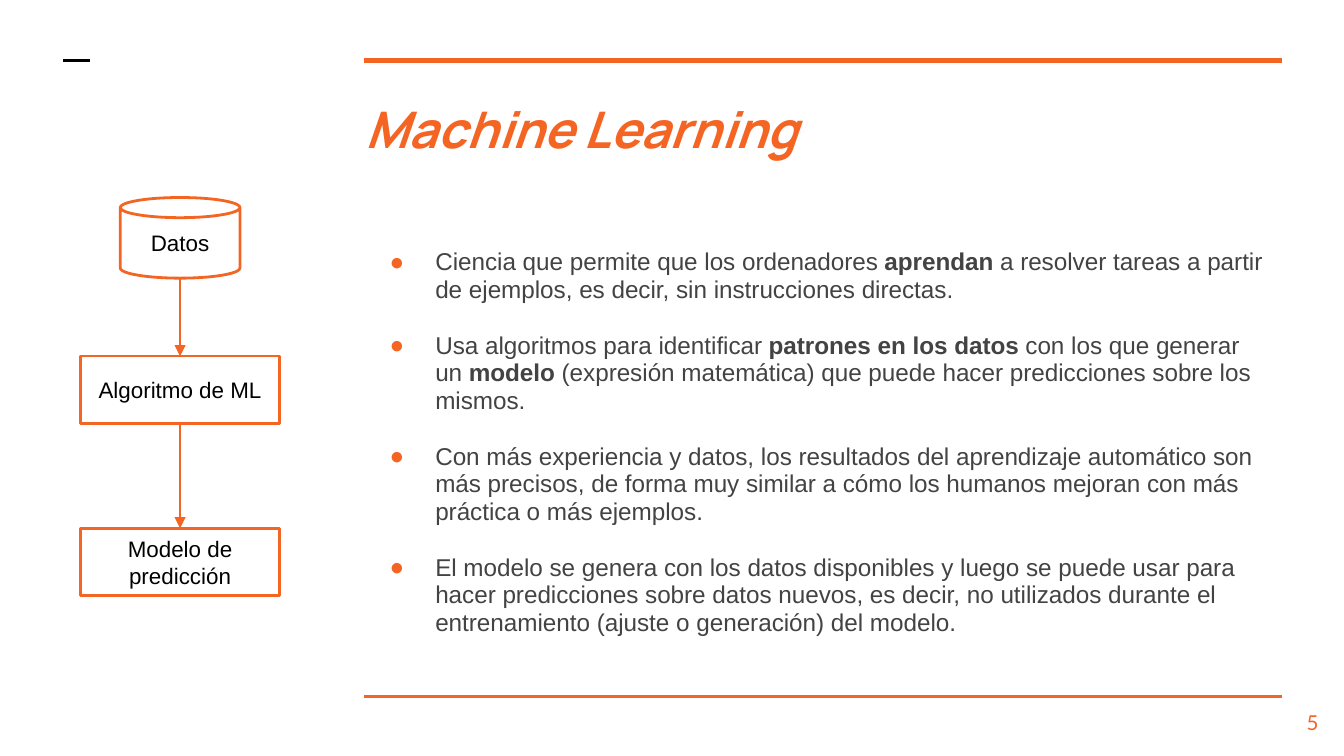
from dataclasses import dataclass

from lxml import etree
from pptx import Presentation
from pptx.dml.color import RGBColor
from pptx.enum.shapes import MSO_CONNECTOR, MSO_SHAPE
from pptx.enum.text import MSO_ANCHOR, PP_ALIGN
from pptx.oxml.ns import qn
from pptx.util import Inches, Pt

LINE = MSO_CONNECTOR.STRAIGHT
RECT, CAN = MSO_SHAPE.RECTANGLE, MSO_SHAPE.CAN
TOP, MIDDLE = MSO_ANCHOR.TOP, MSO_ANCHOR.MIDDLE
LEFT, CENTER, RIGHT = PP_ALIGN.LEFT, PP_ALIGN.CENTER, PP_ALIGN.RIGHT


@dataclass(frozen=True)
class Theme:
    accent: str = "F46524"
    ink: str = "000000"
    gray: str = "434343"
    paper: str = "FFFFFF"
    head: str = "Manrope"
    body: str = "Arial"
    num: str = "Lato"
    head_size: float = 27
    body_size: float = 13
    node_size: float = 12
    num_size: float = 11
    thin: float = 1.5
    thick: float = 3


THEME = Theme()

# Each point is a list of (text, bold) runs
POINTS = [
    [("Ciencia que permite que los ordenadores ", False), ("aprendan", True),
     (" a resolver tareas a partir de ejemplos, es decir, sin instrucciones "
      "directas.", False)],
    [("Usa algoritmos para identificar ", False),
     ("patrones en los datos", True), (" con los que generar un ", False),
     ("modelo", True),
     (" (expresión matemática) que puede hacer predicciones sobre los "
      "mismos.", False)],
    [("Con más experiencia y datos, los resultados del aprendizaje "
      "automático son más precisos, de forma muy similar a cómo los humanos "
      "mejoran con más práctica o más ejemplos.", False)],
    [("El modelo se genera con los datos disponibles y luego se puede usar "
      "para hacer predicciones sobre datos nuevos, es decir, no utilizados "
      "durante el entrenamiento (ajuste o generación) del modelo.", False)],
]

# Label, shape, top within the flow, width, height
NODES = [
    ("Datos", CAN, 0, 0.89, 0.6),
    ("Algoritmo de ML", RECT, 1.18, 1.48, 0.5),
    ("Modelo de predicción", RECT, 2.46, 1.48, 0.5),
]


def rgb(color):
    return RGBColor.from_string(color)


def style(font, name, size, color, bold=False, italic=False):
    font.name, font.size = name, Pt(size)
    font.color.rgb = rgb(color)
    font.bold, font.italic = bold, italic


def set_frame(frame, anchor=TOP):
    frame.word_wrap = True
    frame.vertical_anchor = anchor
    frame.margin_left = frame.margin_right = Inches(0.1)
    frame.margin_top = frame.margin_bottom = Inches(0.1)


def add_line(slide, start, end, color, width, arrow=False):
    ends = [Inches(v) for v in (*start, *end)]
    line = slide.shapes.add_connector(LINE, *ends)
    line.line.color.rgb = rgb(color)
    line.line.width = Pt(width)
    if arrow:
        etree.SubElement(line.line._get_or_add_ln(), qn("a:tailEnd"),
                         type="triangle")
    etree.SubElement(line._element.spPr, qn("a:effectLst"))


def add_bullet(para):
    props = para._p.get_or_add_pPr()
    props.set("marL", str(Inches(0.5)))
    props.set("indent", str(Inches(-0.34)))
    tint = etree.SubElement(props, qn("a:buClr"))
    etree.SubElement(tint, qn("a:srgbClr"), val=THEME.accent)
    etree.SubElement(props, qn("a:buFont"), typeface=THEME.body)
    etree.SubElement(props, qn("a:buChar"), char="●")


def add_rules(slide, left, top, width, height):
    right, base = left + width, top + height
    add_line(slide, (left, top), (right, top), THEME.accent, THEME.thick)
    add_line(slide, (left, base), (right, base), THEME.accent, THEME.thin)
    add_line(slide, (0.47, top), (0.67, top), THEME.ink, THEME.thin)


def add_title(slide, text, *box):
    title = slide.shapes.title
    title.left, title.top, title.width, title.height = map(Inches, box)
    frame = title.text_frame
    set_frame(frame)
    frame.text = text
    para = frame.paragraphs[0]
    para.alignment = LEFT
    style(para.runs[0].font, THEME.head, THEME.head_size, THEME.accent,
          bold=True, italic=True)


def add_points(slide, points, *box):
    frame = slide.shapes.add_textbox(*map(Inches, box)).text_frame
    set_frame(frame)
    for i, parts in enumerate(points):
        para = frame.add_paragraph() if i else frame.paragraphs[0]
        add_bullet(para)
        para.line_spacing = 0.95
        if i:
            para.space_before = Pt(15)
        for text, bold in parts:
            run = para.add_run()
            run.text = text
            style(run.font, THEME.body, THEME.body_size, THEME.gray, bold)


def add_node(slide, label, kind, *box):
    node = slide.shapes.add_shape(kind, *map(Inches, box))
    node.shadow.inherit = False
    node.fill.solid()
    node.fill.fore_color.rgb = rgb(THEME.paper)
    node.line.color.rgb = rgb(THEME.accent)
    node.line.width = Pt(THEME.thin)
    frame = node.text_frame
    set_frame(frame, MIDDLE)
    frame.text = label
    para = frame.paragraphs[0]
    para.alignment = CENTER
    style(para.runs[0].font, THEME.body, THEME.node_size, THEME.ink)


def add_flow(slide, nodes, left, top, width):
    mid = left + width / 2
    for label, kind, down, wide, high in nodes:
        add_node(slide, label, kind, mid - wide / 2, top + down, wide, high)
    # Arrows join each node to the next
    for (_, _, down, _, high), after in zip(nodes, nodes[1:]):
        add_line(slide, (mid, top + down + high), (mid, top + after[2]),
                 THEME.accent, THEME.thin, arrow=True)


def add_number(slide, text, *box):
    frame = slide.shapes.add_textbox(*map(Inches, box)).text_frame
    set_frame(frame)
    frame.text = text
    para = frame.paragraphs[0]
    para.alignment = RIGHT
    style(para.runs[0].font, THEME.num, THEME.num_size, THEME.accent)


def main():
    deck = Presentation()
    # Widescreen, 16 by 9
    deck.slide_width, deck.slide_height = Inches(10), Inches(10 * 9 / 16)
    slide = deck.slides.add_slide(deck.slide_layouts[5])
    slide.background.fill.solid()
    slide.background.fill.fore_color.rgb = rgb(THEME.paper)
    add_rules(slide, 2.71, 0.45, 6.83, 4.73)
    add_title(slide, "Machine Learning", 2.62, 0.63, 6.91, 0.69)
    add_points(slide, POINTS, 2.64, 1.75, 6.91, 3.28)
    add_number(slide, "5", 9.31, 5.19, 0.6, 0.43)
    add_flow(slide, NODES, 0.6, 1.47, 1.48)
    deck.save("out.pptx")


if __name__ == "__main__":
    main()
